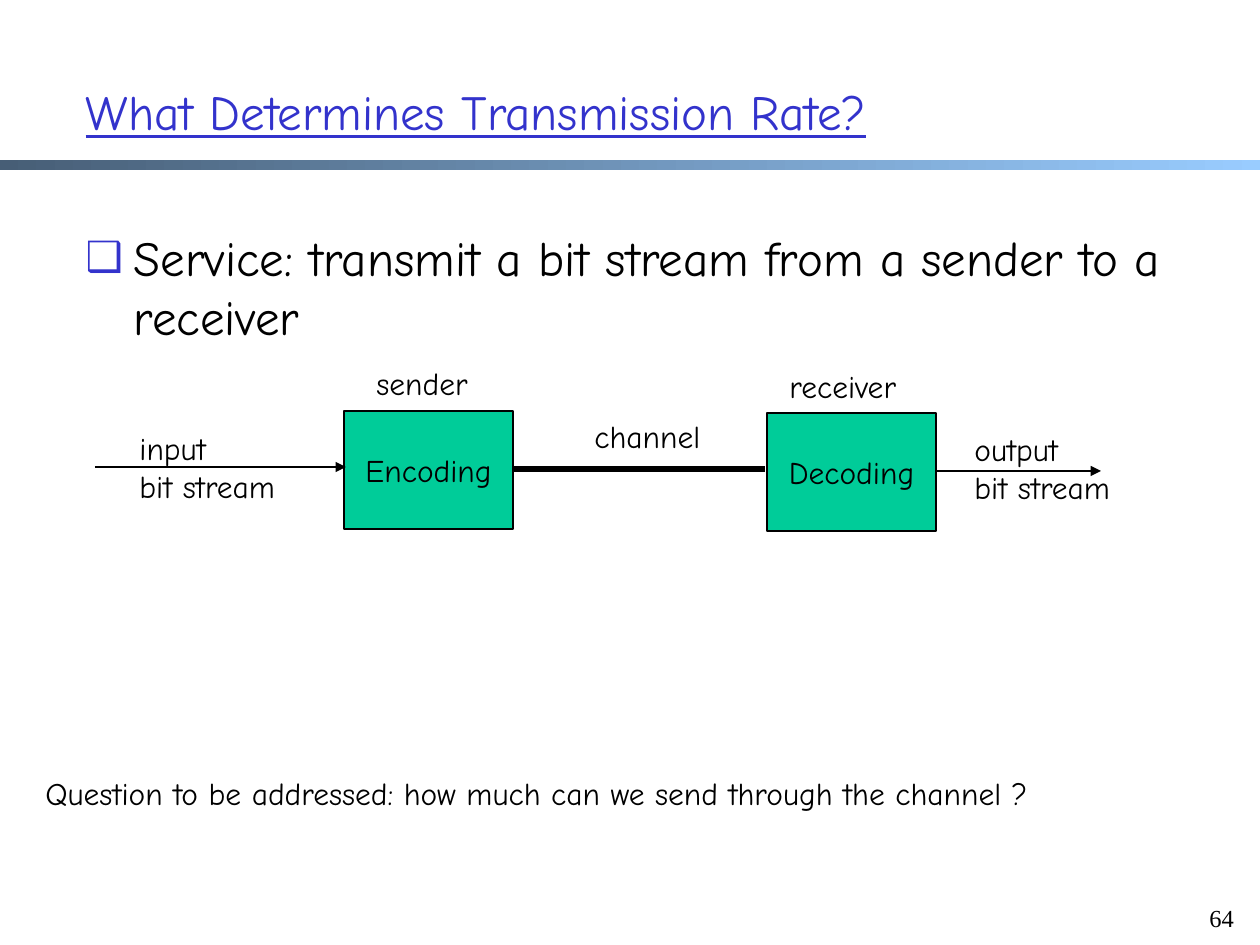
"""Build the slide on what determines transmission rate."""
import pptx
import pptx.dml.color
import pptx.enum.dml
import pptx.enum.shapes
import pptx.enum.text
import pptx.util
from lxml import etree
from pptx.oxml.ns import qn

BLUE = pptx.dml.color.RGBColor(0x33, 0x33, 0xCC)
BLACK = pptx.dml.color.RGBColor(0, 0, 0)
GREEN = pptx.dml.color.RGBColor(0x00, 0xCC, 0x99)
SLATE = pptx.dml.color.RGBColor(0x47, 0x5E, 0x76)
SKY = pptx.dml.color.RGBColor(0x99, 0xCC, 0xFF)
FONT = "Comic Neue"
ALIGN = pptx.enum.text.PP_ALIGN
ANCHOR = pptx.enum.text.MSO_ANCHOR


def px(*lengths):
    return [pptx.util.Emu(round(length * 914400 / 126)) for length in lengths]


def write(shape, text, size=18, color=BLACK, font=FONT, align=ALIGN.LEFT, anchor=ANCHOR.TOP):
    frame = shape.text_frame
    frame.text = text
    frame.word_wrap = True
    frame.auto_size = pptx.enum.text.MSO_AUTO_SIZE.NONE
    frame.vertical_anchor = anchor
    for paragraph in frame.paragraphs:
        paragraph.alignment = align
        for run in paragraph.runs:
            run.font.name = font
            run.font.size = pptx.util.Pt(size)
            run.font.color.rgb = color


presentation = pptx.Presentation()
presentation.slide_width, presentation.slide_height = px(1260, 945)
slide = presentation.slides.add_slide(presentation.slide_layouts[1])
shapes = slide.shapes
RECTANGLE = pptx.enum.shapes.MSO_SHAPE.RECTANGLE

bar = shapes.add_shape(RECTANGLE, *px(0, 160, 1260, 10))
bar.shadow.inherit = False
bar.line.fill.background()
bar.fill.gradient()
bar.fill.gradient_angle = 0
for stop, color, position in zip(bar.fill.gradient_stops, (SLATE, SKY), (0, 1)):
    stop.color.rgb = color
    stop.position = position

title = shapes.title
title.left, title.top, title.width, title.height = px(73, 32, 1106, 157)
write(title, "What Determines Transmission Rate?", 28, BLUE, anchor=ANCHOR.MIDDLE)
title.text_frame.paragraphs[0].runs[0].font.underline = True

body = slide.placeholders[1]
body.left, body.top, body.width, body.height = px(73, 221, 1110, 669)
write(body, "Service: transmit a bit stream from a sender to a receiver", 28)
service = body.text_frame.paragraphs[0]
service.space_before = pptx.util.Pt(0)
properties = service._p.get_or_add_pPr()
indent, = px(48)
properties.set("marL", str(indent))
properties.set("indent", str(-indent))
bullet_color = etree.SubElement(properties, qn("a:buClr"))
etree.SubElement(bullet_color, qn("a:srgbClr"), val=str(BLUE))
etree.SubElement(properties, qn("a:buSzPct"), val="85000")
etree.SubElement(properties, qn("a:buChar"), char="❑")

for text, left, top in (("Encoding", 344, 411), ("Decoding", 767, 413)):
    box = shapes.add_shape(RECTANGLE, *px(left, top, 169, 118))
    box.shadow.inherit = False
    box.fill.solid()
    box.fill.fore_color.rgb = GREEN
    box.line.color.rgb = BLACK
    box.line.width = pptx.util.Pt(0.75)
    write(box, text, align=ALIGN.CENTER, anchor=ANCHOR.MIDDLE)

for start, end, y, width, arrow in (
    (95, 346, 467, 0.75, True),
    (513, 765, 469, 3, False),
    (937, 1101, 471, 0.75, True),
):
    line = shapes.add_connector(pptx.enum.shapes.MSO_CONNECTOR.STRAIGHT, *px(start, y, end, y))
    line.line.color.rgb = BLACK
    line.line.width = pptx.util.Pt(width)
    if arrow:
        etree.SubElement(line.line._get_or_add_ln(), qn("a:tailEnd"), type="triangle")
    etree.SubElement(line._element.spPr, qn("a:effectLst"))

for text, left, top, width, height in (
    ("channel", 582, 411, 135, 50),
    ("output\nbit stream", 962, 424, 180, 88),
    ("input\nbit stream", 127, 423, 180, 88),
    ("sender", 364, 358, 125, 50),
    ("receiver", 777, 361, 147, 50),
    ("Question to be addressed: how much can we send through the channel ?", 33, 768, 1197, 54),
):
    write(shapes.add_textbox(*px(left, top, width, height)), text)

number = shapes.add_textbox(*px(1197, 897, 63, 48))
write(number, "64", 14, font="Times New Roman")

presentation.save("out.pptx")
